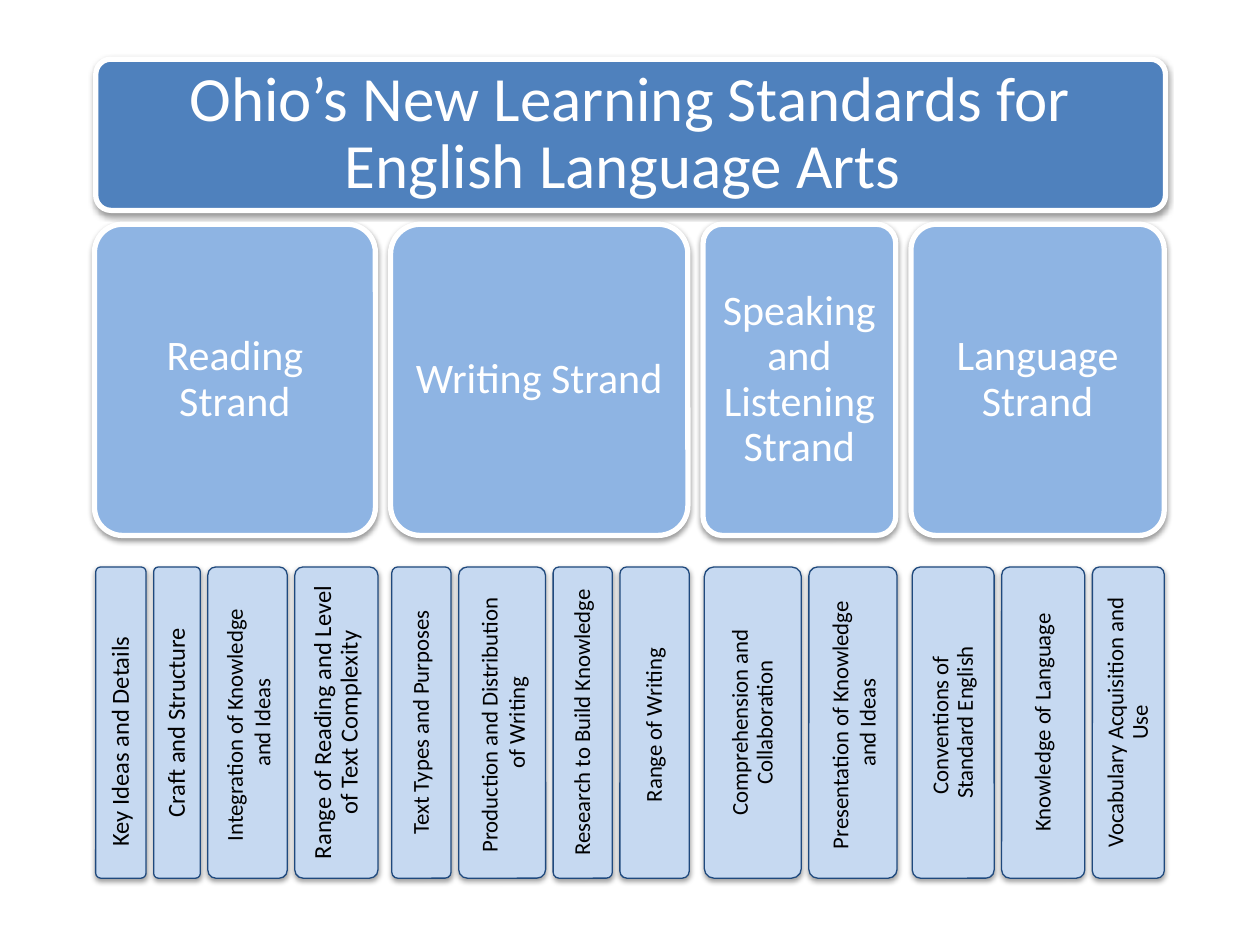
from dataclasses import dataclass

from lxml.etree import SubElement
from pptx import Presentation
from pptx.dml.color import RGBColor
from pptx.enum.shapes import MSO_SHAPE
from pptx.enum.text import MSO_ANCHOR, MSO_AUTO_SIZE, PP_ALIGN
from pptx.oxml.ns import qn
from pptx.util import Inches, Pt


@dataclass(frozen=True)
class Theme:
    font: str = "Calibri"
    title_fill: str = "4F81BD"
    strand_fill: str = "8EB4E3"
    topic_fill: str = "C6D9F1"
    topic_line: str = "1F497D"
    white: str = "FFFFFF"
    black: str = "000000"
    title_size: int = 36
    strand_size: int = 24
    large: int = 14
    small: int = 13


THEME = Theme()
LEFT = 0.75
STRAND_GAP, TOPIC_GAP = 0.12, 0.06
STRAND_TOP, TOPIC_TOP, ROW_HEIGHT = 1.78, 4.5, 2.47
L, S = THEME.large, THEME.small

# Strand name, width, and topics as (width, size, line spacing, paragraphs)
STRANDS = [
    ("Reading Strand", 2.23, [
        (0.4, L, 0.9, ["Key Ideas and Details"]),
        (0.37, L, 0.9, ["Craft and Structure"]),
        (0.63, S, 1.0, ["Integration of Knowledge ", "and Ideas"]),
        (0.66, L, 0.9, ["Range of Reading and Level of Text Complexity"]),
    ]),
    ("Writing Strand", 2.36, [
        (0.47, S, 0.9, ["Text Types and Purposes"]),
        (0.69, S, 1.0, ["Production and Distribution ", "of Writing"]),
        (0.47, S, 0.9, ["Research to Build Knowledge"]),
        (0.55, S, 0.9, ["Range of Writing "]),
    ]),
    ("Speaking and Listening Strand", 1.53, [
        (0.77, S, 0.9, ["Comprehension and Collaboration"]),
        (0.7, S, 1.0, ["Presentation of Knowledge ", "and Ideas"]),
    ]),
    ("Language Strand", 2.01, [
        (0.65, S, 0.9, ["Conventions of ", "Standard English"]),
        (0.66, S, 0.9, ["Knowledge of Language"]),
        (0.57, S, 0.9, ["Vocabulary Acquisition and Use"]),
    ]),
]


def rgb(value):
    return RGBColor.from_string(value)


def add_shadow(sp):
    sp.shadow.inherit = False
    effects = sp._element.spPr.find(qn("a:effectLst"))
    shadow = SubElement(effects, qn("a:outerShdw"), blurRad=str(Pt(3.1)),
                        dist=str(Pt(1.6)), dir="5400000", rotWithShape="0")
    color = SubElement(shadow, qn("a:srgbClr"), val=THEME.black)
    SubElement(color, qn("a:alpha"), val="38000")


def add_card(s, left, top, width, height, fill, line, line_width):
    sp = s.shapes.add_shape(MSO_SHAPE.ROUNDED_RECTANGLE, Inches(left),
                            Inches(top), Inches(width), Inches(height))
    sp.adjustments[0] = 0.1
    sp.fill.solid()
    sp.fill.fore_color.rgb = rgb(fill)
    sp.line.color.rgb = rgb(line)
    sp.line.width = Pt(line_width)
    add_shadow(sp)
    return sp


def set_text(sp, lines, size, color, spacing, inset):
    tf = sp.text_frame
    tf.text = "\n".join(lines)
    tf.word_wrap = True
    tf.auto_size = MSO_AUTO_SIZE.NONE
    tf.vertical_anchor = MSO_ANCHOR.MIDDLE
    tf.margin_left = tf.margin_right = Inches(inset)
    tf.margin_top = tf.margin_bottom = Inches(inset)
    for p in tf.paragraphs:
        p.alignment = PP_ALIGN.CENTER
        p.line_spacing = spacing
        for r in p.runs:
            r.font.name = THEME.font
            r.font.size = Pt(size)
            r.font.color.rgb = rgb(color)


def add_title(s):
    add_card(s, 0.76, 0.47, 8.49, 1.2, THEME.title_fill, THEME.white, 3)
    title = s.shapes.title
    title.left, title.top = Inches(0.79), Inches(0.5)
    title.width, title.height = Inches(8.42), Inches(1.13)
    set_text(title, ["Ohio’s New Learning Standards for English Language Arts "],
             THEME.title_size, THEME.white, Pt(38), 0.15)
    # Bring the title in front of its band
    s.shapes._spTree.append(title._element)


def add_strand(s, left, width, name):
    sp = add_card(s, left, STRAND_TOP, width, ROW_HEIGHT,
                  THEME.strand_fill, THEME.white, 3)
    set_text(sp, [name], THEME.strand_size, THEME.white, 0.9, 0.1)


def add_topic(s, left, width, size, spacing, lines):
    sp = add_card(s, left, TOPIC_TOP, width, ROW_HEIGHT,
                  THEME.topic_fill, THEME.topic_line, 0.75)
    set_text(sp, lines, size, THEME.black, spacing, 0.05)
    sp.text_frame._txBody.bodyPr.set("vert", "vert270")
    return sp


def start_low(sp):
    """Set the vertical label from the bottom edge of its card."""
    p = sp.text_frame.paragraphs[0]
    p.alignment = PP_ALIGN.LEFT
    p._p.get_or_add_pPr().set("marL", str(Inches(0.14)))


def main():
    prs = Presentation()
    prs.slide_width, prs.slide_height = Inches(10), Inches(7.5)
    s = prs.slides.add_slide(prs.slide_layouts[5])
    add_title(s)

    # Strands, each with its topics below
    left = LEFT
    for name, width, topics in STRANDS:
        add_strand(s, left, width, name)
        topic_left = left + 0.01
        for topic_width, size, spacing, lines in topics:
            sp = add_topic(s, topic_left, topic_width, size, spacing, lines)
            if lines == ["Key Ideas and Details"]:
                start_low(sp)
            topic_left += topic_width + TOPIC_GAP
        left += width + STRAND_GAP

    prs.save("out.pptx")


if __name__ == "__main__":
    main()
